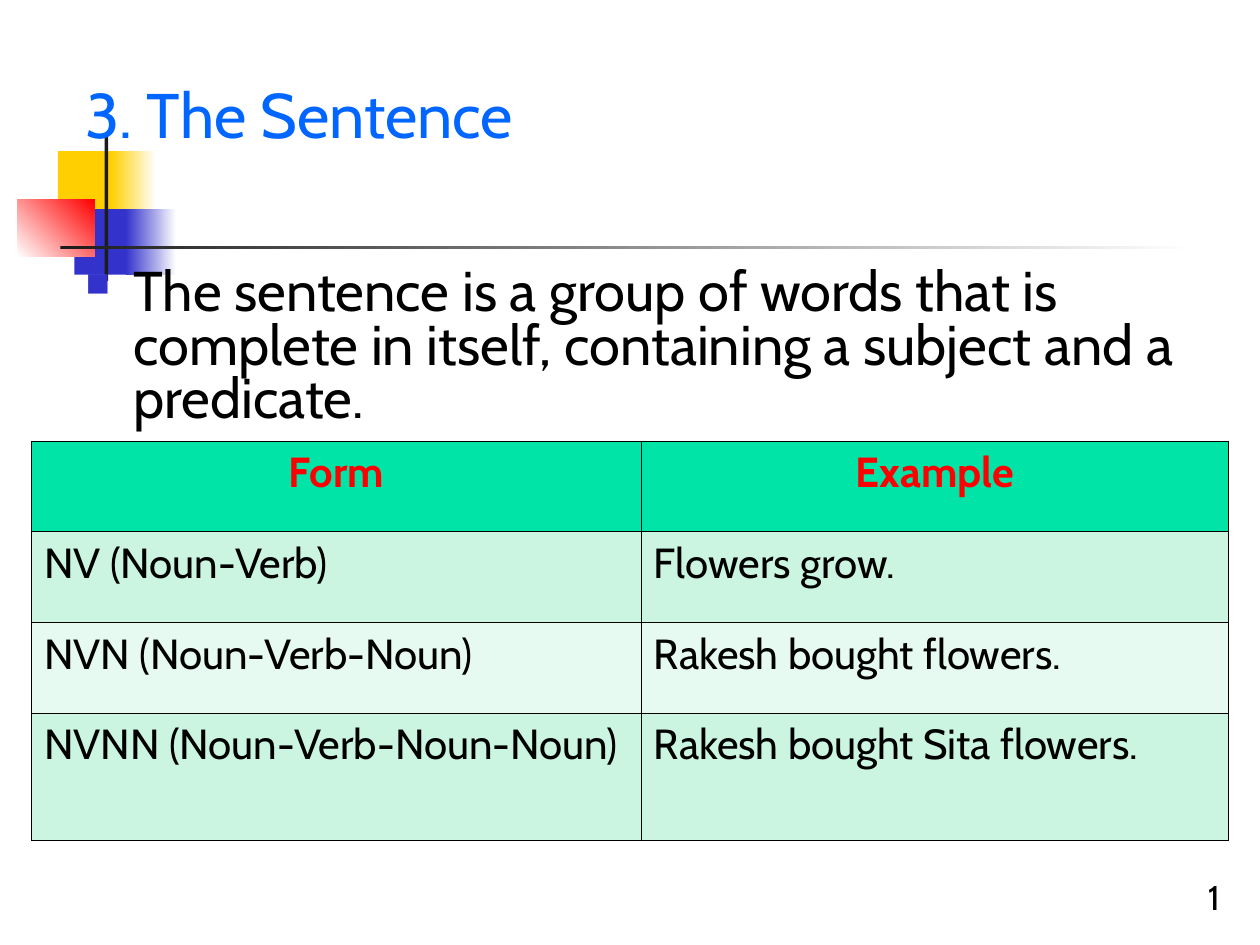
from lxml import etree
from pptx import Presentation
from pptx.dml.color import RGBColor
from pptx.enum.shapes import MSO_SHAPE
from pptx.enum.text import MSO_ANCHOR, PP_ALIGN
from pptx.oxml.ns import qn
from pptx.util import Inches, Pt

RECTANGLE = MSO_SHAPE.RECTANGLE
TOP, BOTTOM = MSO_ANCHOR.TOP, MSO_ANCHOR.BOTTOM
LEFT, CENTER, RIGHT = PP_ALIGN.LEFT, PP_ALIGN.CENTER, PP_ALIGN.RIGHT

FONT = "Cabin"
BLACK = RGBColor(0x00, 0x00, 0x00)
WHITE = RGBColor(0xFF, 0xFF, 0xFF)
CHARCOAL = RGBColor(0x1C, 0x1C, 0x1C)
YELLOW = RGBColor(0xFF, 0xCF, 0x01)
INDIGO = RGBColor(0x33, 0x33, 0xCC)
RED = RGBColor(0xFF, 0x00, 0x00)
TITLE_BLUE = RGBColor(0x00, 0x66, 0xFF)
HEADER_GREEN = RGBColor(0x00, 0xE4, 0xA8)
ROW_GREENS = [RGBColor(0xCB, 0xF5, 0xE1), RGBColor(0xE7, 0xFA, 0xF1)]

TITLE = "3. The Sentence"
DEFINITION = (
    "The sentence is a group of words that is complete in itself, "
    "containing a subject and a predicate."
)
SLIDE_NUMBER = "1"
SENTENCE_FORMS = [
    ("Form", "Example"),
    ("NV (Noun-Verb)", "Flowers grow."),
    ("NVN (Noun-Verb-Noun)", "Rakesh bought flowers."),
    ("NVNN (Noun-Verb-Noun-Noun)", "Rakesh bought Sita flowers."),
]
COLUMN_WIDTHS = [4.84, 4.66]
ROW_HEIGHTS = [0.72, 0.72, 0.72, 1.01]

DECORATIONS = [
    ((0.46, 1.2, 0.48, 0.52), [YELLOW], 0),
    ((0.88, 1.2, 0.36, 0.52), [YELLOW, WHITE], 0),
    ((0.59, 1.66, 0.46, 0.52), [INDIGO], 0),
    ((1, 1.66, 0.4, 0.52), [INDIGO, WHITE], 0),
    ((0.14, 1.58, 0.61, 0.46), [WHITE, RED], 45),
    ((0.83, 1.08, 0.03, 1.15), [CHARCOAL], 0),
    ((0.48, 1.95, 9, 0.03), [CHARCOAL, WHITE], 0),
]


def add_decoration(slide, box, colors, angle):
    shape = slide.shapes.add_shape(RECTANGLE, *map(Inches, box))
    shape.shadow.inherit = False
    shape.line.fill.background()
    if len(colors) == 1:
        shape.fill.solid()
        shape.fill.fore_color.rgb = colors[0]
        return
    shape.fill.gradient()
    shape.fill.gradient_angle = angle
    for stop, color in zip(shape.fill.gradient_stops, colors):
        stop.color.rgb = color


def write(paragraph, text, size, color, align=LEFT, bold=False):
    paragraph.alignment = align
    run = paragraph.add_run()
    run.text = text
    run.font.name = FONT
    run.font.size = Pt(size)
    run.font.bold = bold
    run.font.color.rgb = color


def add_text(slide, box, text, size, color, align=LEFT, anchor=TOP):
    frame = slide.shapes.add_textbox(*map(Inches, box)).text_frame
    frame.word_wrap = True
    frame.vertical_anchor = anchor
    paragraph = frame.paragraphs[0]
    write(paragraph, text, size, color, align)
    return paragraph


def add_bullet(paragraph, character, color, percent, indent):
    paragraph.line_spacing = 0.8
    properties = paragraph._p.get_or_add_pPr()
    properties.set("marL", str(Inches(indent)))
    properties.set("indent", str(-Inches(indent)))
    bullet_color = etree.SubElement(properties, qn("a:buClr"))
    etree.SubElement(bullet_color, qn("a:srgbClr"), val=str(color))
    etree.SubElement(properties, qn("a:buSzPct"), val=str(percent * 1000))
    etree.SubElement(properties, qn("a:buChar"), char=character)


def add_borders(cell, color, width):
    properties = cell._tc.get_or_add_tcPr()
    for side in ("lnL", "lnR", "lnT", "lnB"):
        line = etree.SubElement(properties, qn(f"a:{side}"), w=str(Pt(width)))
        fill = etree.SubElement(line, qn("a:solidFill"))
        etree.SubElement(fill, qn("a:srgbClr"), val=str(color))


def add_forms_table(slide):
    table = slide.shapes.add_table(
        len(SENTENCE_FORMS), len(COLUMN_WIDTHS), Inches(0.25), Inches(3.5),
        Inches(sum(COLUMN_WIDTHS)), Inches(sum(ROW_HEIGHTS)),
    ).table
    for column, width in zip(table.columns, COLUMN_WIDTHS):
        column.width = Inches(width)
    for row_index, texts in enumerate(SENTENCE_FORMS):
        table.rows[row_index].height = Inches(ROW_HEIGHTS[row_index])
        header = row_index == 0
        background = HEADER_GREEN if header else ROW_GREENS[(row_index - 1) % 2]
        for column_index, text in enumerate(texts):
            cell = table.cell(row_index, column_index)
            add_borders(cell, BLACK, 0.45)
            cell.fill.solid()
            cell.fill.fore_color.rgb = background
            write(cell.text_frame.paragraphs[0], text, 24,
                  RED if header else BLACK, CENTER if header else LEFT, header)


def main():
    presentation = Presentation()
    presentation.slide_width = Inches(10)
    presentation.slide_height = Inches(7.5)
    slide = presentation.slides.add_slide(presentation.slide_layouts[6])
    for box, colors, angle in DECORATIONS:
        add_decoration(slide, box, colors, angle)
    definition = add_text(slide, (0.58, 2.08, 9.08, 4.83), DEFINITION, 32, BLACK)
    add_bullet(definition, "■", INDIGO, 60, 0.38)
    add_text(slide, (7.7, 6.83, 2.08, 0.5), SLIDE_NUMBER, 19.6, BLACK, RIGHT, BOTTOM)
    add_text(slide, (0.58, 0.23, 9.2, 1.02), TITLE, 36, TITLE_BLUE, anchor=BOTTOM)
    add_forms_table(slide)
    presentation.save("out.pptx")


if __name__ == "__main__":
    main()
